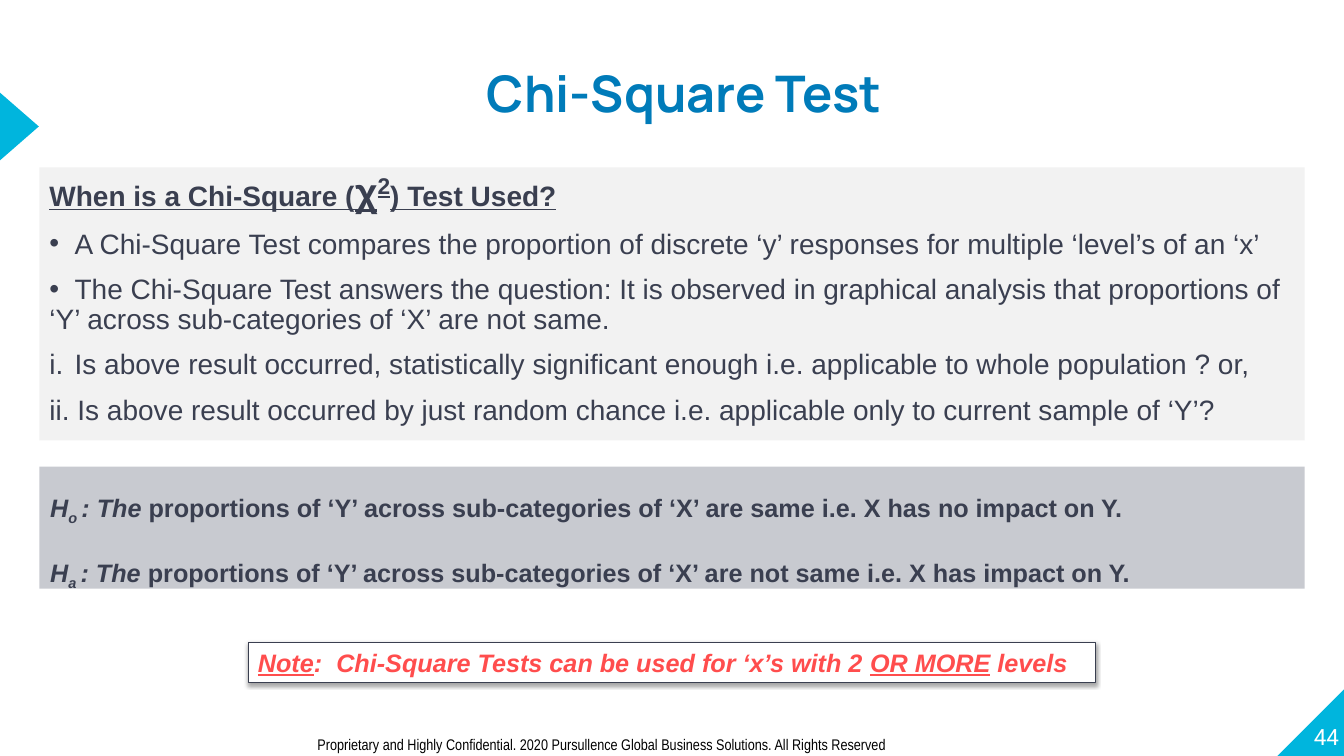
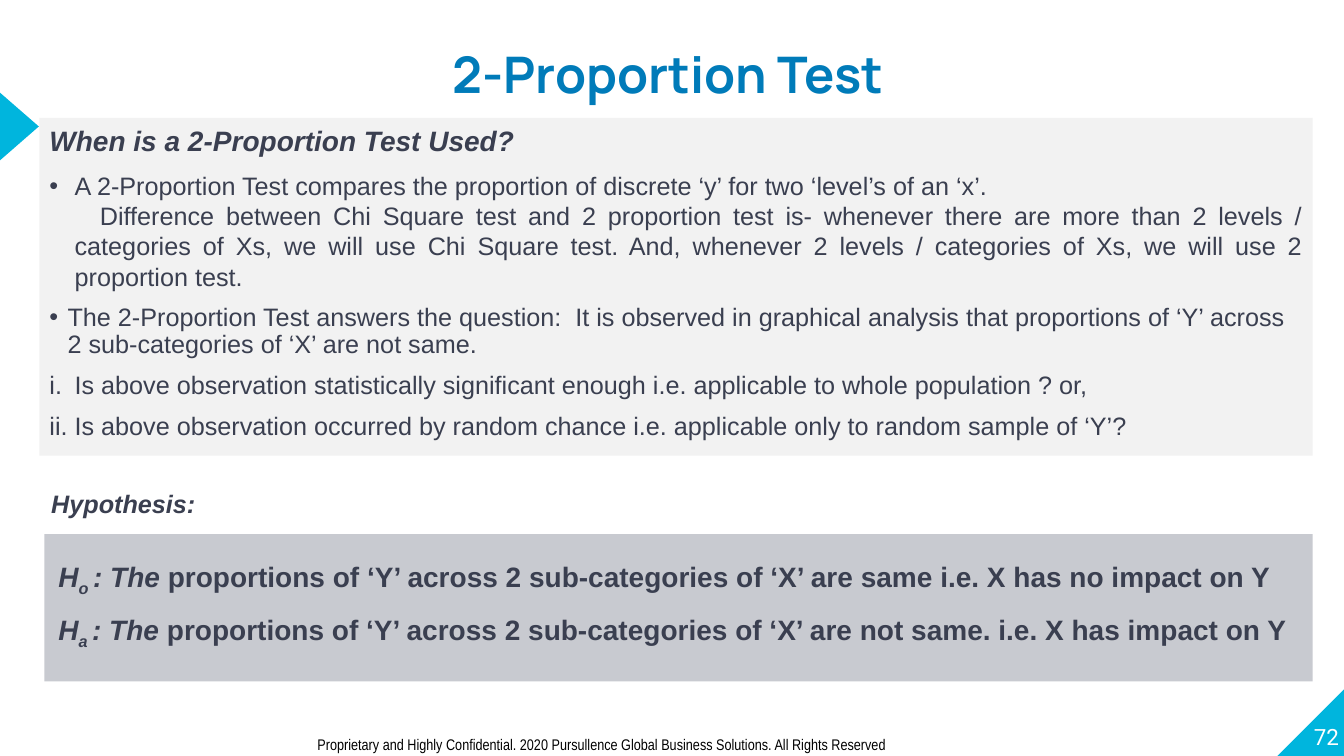
from dataclasses import dataclass

from lxml.etree import SubElement as Sub
from pptx import Presentation
from pptx.dml.color import RGBColor as Rgb
from pptx.enum.shapes import MSO_SHAPE as Shape
from pptx.enum.text import MSO_ANCHOR as Anchor, MSO_AUTO_SIZE as Fit, PP_ALIGN as Align
from pptx.oxml.ns import qn
from pptx.util import Inches, Pt


@dataclass(frozen=True)
class Theme:
    cyan: str = "00B5DD"
    blue: str = "007BB9"
    ink: str = "3A3F50"
    red: str = "FF4D4D"
    pale: str = "F2F2F2"
    gray: str = "C8CAD0"
    white: str = "FFFFFF"
    black: str = "000000"
    font: str = "Arial"
    head: str = "Manrope"
    digit: str = "Roboto"
    thin: str = "Arial Narrow"
    title: int = 36
    chi: int = 28
    large: int = 20
    text: int = 18
    page: int = 16
    foot: int = 11
    gap: float = 0.54  # space before, as a share of the type size


T = Theme()
FOOT = ("Proprietary and Highly Confidential. 2020 Pursullence Global "
        "Business Solutions. All Rights Reserved")


@dataclass
class Run:
    text: str
    style: str = ""  # b bold, i italic, u underline
    size: int = 0
    base: int = 0  # raised or lowered, in percent


@dataclass
class Para:
    runs: list
    left: float = 0
    first: float = 0
    mark: str = ""  # bullet sign, or "i" for roman numbers
    tab: float = 0
    lines: float = 1
    align: Align = Align.LEFT
    tight: bool = False


# --- text ---
def mark(par, item):
    props = par._p.get_or_add_pPr()
    props.set("marL", str(Inches(item.left)))
    props.set("indent", str(Inches(item.first)))
    if item.mark == "i":
        Sub(props, qn("a:buAutoNum"), type="romanLcPeriod")
    elif item.mark:
        Sub(props, qn("a:buChar"), char=item.mark)
    else:
        Sub(props, qn("a:buNone"))
    if item.tab:
        tabs = Sub(props, qn("a:tabLst"))
        Sub(tabs, qn("a:tab"), pos=str(Inches(item.tab)), algn="l")


def write(shape, items, size, color=T.ink, font=T.font, pad=(0.1, 0.05),
          anchor=Anchor.TOP):
    frame = shape.text_frame
    frame.word_wrap, frame.auto_size = True, Fit.NONE
    frame.vertical_anchor = anchor
    frame.margin_left = frame.margin_right = Inches(pad[0])
    frame.margin_top = frame.margin_bottom = Inches(pad[1])
    for n, item in enumerate(items):
        par = frame.add_paragraph() if n else frame.paragraphs[0]
        mark(par, item)
        par.alignment, par.line_spacing = item.align, item.lines
        bare = n == 0 or item.tight
        par.space_before = Pt(0 if bare else round(size * T.gap, 1))
        for part in item.runs:
            run = par.add_run()
            run.text = part.text
            face = run.font
            face.name, face.size = font, Pt(part.size or size)
            face.color.rgb = Rgb.from_string(color)
            face.bold, face.italic = "b" in part.style, "i" in part.style
            face.underline = "u" in part.style
            if part.base:
                run._r.get_or_add_rPr().set("baseline", str(part.base * 1000))


# --- shapes ---
def place(shape, box):
    shape.left, shape.top, shape.width, shape.height = map(Inches, box)
    return shape


def paint(shape, color):
    shape.fill.solid()
    shape.fill.fore_color.rgb = Rgb.from_string(color)
    return shape


def block(slide, kind, box, color, turn=0):
    shape = paint(slide.shapes.add_shape(kind, *map(Inches, box)), color)
    shape.line.fill.background()
    shape.shadow.inherit = False
    shape.rotation = turn
    return shape


def label(slide, box, items, size, **look):
    write(slide.shapes.add_textbox(*map(Inches, box)), items, size, **look)


def shade(shape):
    glow = Sub(shape._element.spPr.find(qn("a:effectLst")), qn("a:outerShdw"),
               blurRad=str(Pt(3.1)), dist=str(Pt(1.8)), dir="5400000",
               algn="t", rotWithShape="0")
    tint = Sub(glow, qn("a:srgbClr"), val=T.black)
    Sub(tint, qn("a:alpha"), val="35000")


# --- regions ---
def base(deck, title, box, page, align=Align.LEFT):
    """Title, corner, arrow, page number and footer."""
    slide = deck.slides.add_slide(deck.slide_layouts[1])
    write(place(slide.shapes.title, box),
          [Para([Run(title, "b")], lines=1.5, align=align)],
          T.title, color=T.blue, font=T.head, pad=(0, 0))
    block(slide, Shape.RIGHT_TRIANGLE, (12.67, 6.82, 0.68, 0.68), T.cyan, 270)
    block(slide, Shape.ISOSCELES_TRIANGLE, (-0.15, 1.06, 0.68, 0.39), T.cyan, 90)
    label(slide, (12.61, 6.76, 0.67, 0.68),
          [Para([Run(page)], align=Align.RIGHT)], T.page, color=T.white,
          font=T.digit, pad=(0, 0), anchor=Anchor.BOTTOM)
    label(slide, (3.05, 7.24, 8.51, 0.29), [Para([Run(FOOT)])],
          T.foot, color=T.black, font=T.thin)
    return slide


def panel(slide, box, items, size):
    """Pale panel with the list."""
    write(paint(place(slide.placeholders[1], box), T.pale), items, size)


def claims(slide, box, inner, pair, size, lines=1):
    """Gray band with both hypotheses; inner is relative to the band."""
    block(slide, Shape.RECTANGLE, box, T.gray)
    x, y, wide, high = inner
    items = [Para([Run("H", "bi"), Run(sign + " ", "bi", base=-25),
                   Run(": The ", "bi"), Run(text, "b")],
                  left=0.44, first=-0.44, lines=lines)
             for sign, text in zip("oa", pair)]
    label(slide, (box[0] + x, box[1] + y, wide, high), items, size)


def note(slide, box, runs):
    """Framed note with a soft shadow."""
    shape = block(slide, Shape.RECTANGLE, box, T.white)
    shape.line.color.rgb = Rgb.from_string(T.ink)
    shape.line.width = Pt(0.75)
    shade(shape)
    write(shape, [Para(runs)], T.text, color=T.red)


def point(text, sign="", hang=0.25, lines=0.9):
    return Para([Run(text)], left=hang, first=-hang, mark=sign, lines=lines)


# --- slides ---
def square(deck):
    slide = base(deck, "Chi-Square Test", (4.83, 0.32, 4.95, 0.91), "44")
    panel(slide, (0.39, 1.66, 12.55, 2.71), [
        Para([Run("When is a Chi-Square (", "bu"), Run("χ", "bu", T.chi),
              Run("2", "bu", T.chi, 30), Run(") Test Used?", "bu")],
             left=0.25, first=-0.25, lines=0.9),
        point("A Chi-Square Test compares the proportion of discrete ‘y’ "
              "responses for multiple ‘level’s of an ‘x’", "•"),
        Para([Run("\tThe Chi-Square Test answers the question: It is observed in "
                  "graphical analysis that proportions of ‘Y’ across "
                  "sub-categories of ‘X’ are not same.")],
             mark="•", tab=0.25, lines=0.9),
        point("Is above result occurred, statistically significant enough i.e. "
              "applicable to whole population ? or,", "i"),
        point("ii. Is above result occurred by just random chance i.e. "
              "applicable only to current sample of ‘Y’?"),
    ], T.large)
    claims(slide, (0.39, 4.63, 12.55, 1.21), (0.01, 0.03, 12.54, 1.16), (
        "proportions of ‘Y’ across sub-categories of ‘X’ are same i.e. "
        "X has no impact on Y.",
        "proportions of ‘Y’ across sub-categories of ‘X’ are not same i.e. "
        "X has impact on Y."), T.text, 1.5)
    note(slide, (2.46, 6.37, 8.41, 0.4), [
        Run("Note", "biu"),
        Run(":  Chi-Square Tests can be used for ‘x’s with 2 ", "bi"),
        Run("OR MORE", "biu"), Run(" levels", "bi")])


def double(deck):
    slide = base(deck, "2-Proportion Test", (0.44, 0.13, 12.37, 0.91), "72",
                 Align.CENTER)
    panel(slide, (0.39, 1.17, 12.63, 3.35), [
        Para([Run("When is a 2-Proportion Test Used?", "bi", T.large)],
             left=0.25, first=-0.25),
        point("A 2-Proportion Test compares the proportion of discrete ‘y’ "
              "for two ‘level’s of an ‘x’.", "•", lines=1),
        Para([Run("Difference between Chi Square test and 2 proportion test is- "
                  "whenever there are more than 2 levels / categories of Xs, we "
                  "will use Chi Square test. And, whenever 2 levels / categories "
                  "of Xs, we will use 2 proportion test.")],
             left=0.25, first=0.25, align=Align.JUSTIFY, tight=True),
        point("The 2-Proportion Test answers the question:  It is observed in "
              "graphical analysis that proportions of ‘Y’ across 2 "
              "sub-categories of ‘X’ are not same.", "•", 0.18),
        point("Is above observation statistically significant enough i.e. "
              "applicable to whole population ? or,", "i"),
        point("ii. Is above observation occurred by random chance i.e. "
              "applicable only to random sample of ‘Y’?"),
    ], T.text)
    claims(slide, (0.44, 5.3, 12.58, 1.46), (0.04, 0.2, 12.5, 0.95), (
        "proportions of ‘Y’ across 2 sub-categories of ‘X’ are same i.e. "
        "X has no impact on Y",
        "proportions of ‘Y’ across 2 sub-categories of ‘X’ are not same. i.e. "
        "X has impact on Y"), T.large)
    label(slide, (0.41, 4.8, 1.75, 0.4), [Para([Run("Hypothesis:", "bi")])], T.text)


def main():
    deck = Presentation()
    deck.slide_width, deck.slide_height = Inches(13.33), Inches(7.5)
    square(deck)
    double(deck)
    deck.save("out.pptx")


if __name__ == "__main__":
    main()
